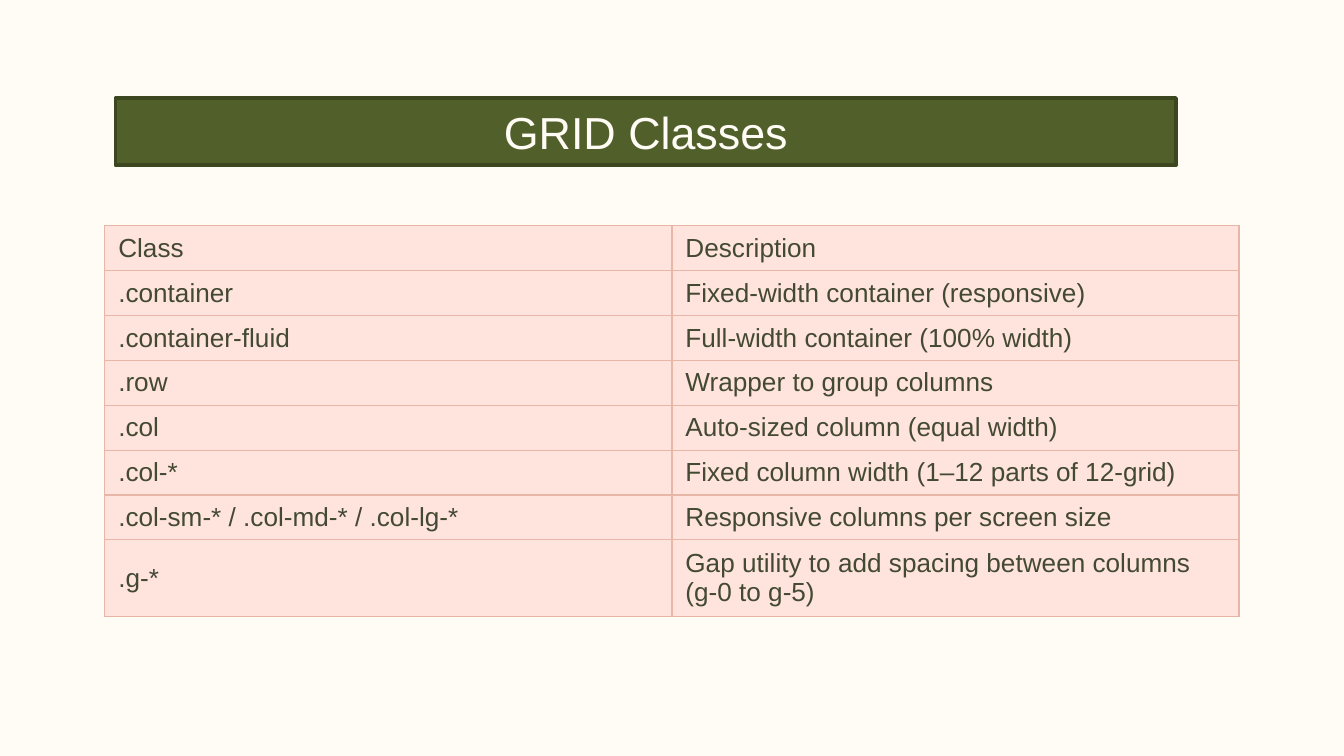
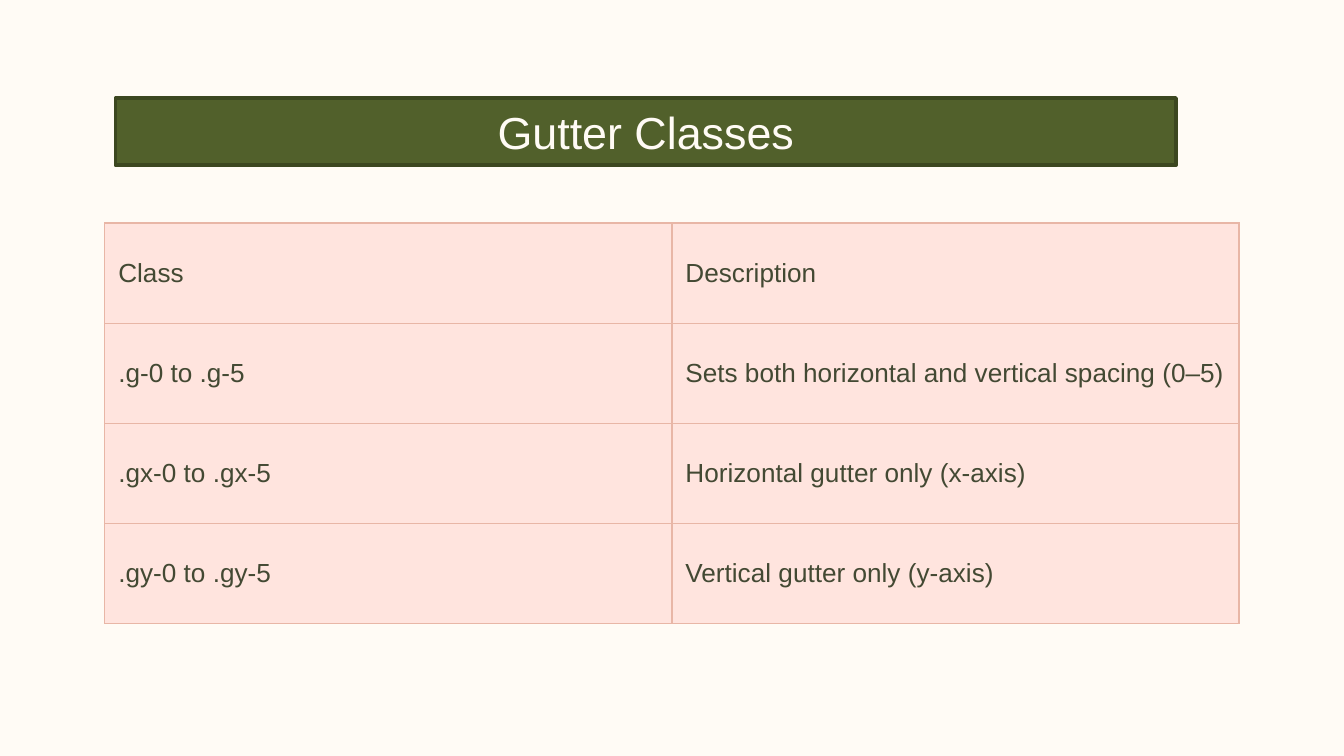
import pptx
import pptx.util
import pptx.dml.color
import pptx.enum.shapes
import pptx.enum.text
import pptx.oxml
import pptx.oxml.ns

Inches = pptx.util.Inches
Pt = pptx.util.Pt
RGBColor = pptx.dml.color.RGBColor

CREAM = RGBColor(0xFF, 0xFB, 0xF5)
OLIVE = RGBColor(0x51, 0x60, 0x2B)
DARK_OLIVE = RGBColor(0x3C, 0x47, 0x20)
BLUSH = RGBColor(0xFF, 0xE4, 0xDE)
ROSE = RGBColor(0xE8, 0xB6, 0xA6)
INK = RGBColor(0x43, 0x49, 0x33)

FONT = "Arial"
PAGE_WIDTH = 10
PAGE_HEIGHT = PAGE_WIDTH * 9 / 16
TITLE_BOX = (0.86, 0.73, 7.89, 0.5)
TABLE_LEFT = 0.78
TABLE_WIDTH = PAGE_WIDTH - 2 * TABLE_LEFT
HEADER = ("Class", "Description")

GRID_CLASSES = [
    HEADER,
    (".container", "Fixed-width container (responsive)"),
    (".container-fluid", "Full-width container (100% width)"),
    (".row", "Wrapper to group columns"),
    (".col", "Auto-sized column (equal width)"),
    (".col-*", "Fixed column width (1–12 parts of 12-grid)"),
    (".col-sm-* / .col-md-* / .col-lg-*", "Responsive columns per screen size"),
    (".g-*", "Gap utility to add spacing between columns (g-0 to g-5)"),
]
GUTTER_CLASSES = [
    HEADER,
    (".g-0 to .g-5", "Sets both horizontal and vertical spacing (0–5)"),
    (".gx-0 to .gx-5", "Horizontal gutter only (x-axis)"),
    (".gy-0 to .gy-5", "Vertical gutter only (y-axis)"),
]


def add_span(para, text, size, color):
    span = para.add_run()
    span.text = text
    span.font.name = FONT
    span.font.size = Pt(size)
    span.font.color.rgb = color


def add_title(page, text, box):
    band = page.shapes.add_shape(
        pptx.enum.shapes.MSO_SHAPE.RECTANGLE, *map(Inches, box))
    band.shadow.inherit = False
    band.fill.solid()
    band.fill.fore_color.rgb = OLIVE
    band.line.color.rgb = DARK_OLIVE
    band.line.width = Pt(2)
    frame = band.text_frame
    frame.word_wrap = True
    frame.auto_size = pptx.enum.text.MSO_AUTO_SIZE.SHAPE_TO_FIT_TEXT
    frame.vertical_anchor = pptx.enum.text.MSO_ANCHOR.MIDDLE
    para = frame.paragraphs[0]
    para.alignment = pptx.enum.text.PP_ALIGN.CENTER
    add_span(para, text, 24, CREAM)


def set_borders(cell):
    properties = cell._tc.get_or_add_tcPr()
    for index, side in enumerate(("lnL", "lnR", "lnT", "lnB")):
        properties.insert(index, pptx.oxml.parse_xml(
            f'<a:{side} {pptx.oxml.ns.nsdecls("a")} w="{Pt(0.75)}">'
            f'<a:solidFill><a:srgbClr val="{ROSE}"/></a:solidFill></a:{side}>'))


def add_class_table(page, rows, heights, box):
    table = page.shapes.add_table(
        len(rows), len(HEADER), *map(Inches, box)).table
    for column in table.columns:
        column.width = Inches(box[2] / len(HEADER))
    for row, height, texts in zip(table.rows, heights, rows):
        row.height = Inches(height)
        for cell, text in zip(row.cells, texts):
            cell.fill.solid()
            cell.fill.fore_color.rgb = BLUSH
            cell.vertical_anchor = pptx.enum.text.MSO_ANCHOR.MIDDLE
            set_borders(cell)
            add_span(cell.text_frame.paragraphs[0], text, 14, INK)


def add_class_page(deck, title, rows, heights, top):
    page = deck.slides.add_slide(deck.slide_layouts[6])
    page.background.fill.solid()
    page.background.fill.fore_color.rgb = CREAM
    add_title(page, title, TITLE_BOX)
    add_class_table(page, rows, heights,
                    (TABLE_LEFT, top, TABLE_WIDTH, sum(heights)))


def main():
    deck = pptx.Presentation()
    deck.slide_width = Inches(PAGE_WIDTH)
    deck.slide_height = Inches(PAGE_HEIGHT)
    add_class_page(deck, "GRID Classes", GRID_CLASSES, [0.33] * 7 + [0.57], 1.68)
    add_class_page(deck, "Gutter Classes", GUTTER_CLASSES, [2.98 / 4] * 4, 1.66)
    deck.save("out.pptx")


if __name__ == "__main__":
    main()
